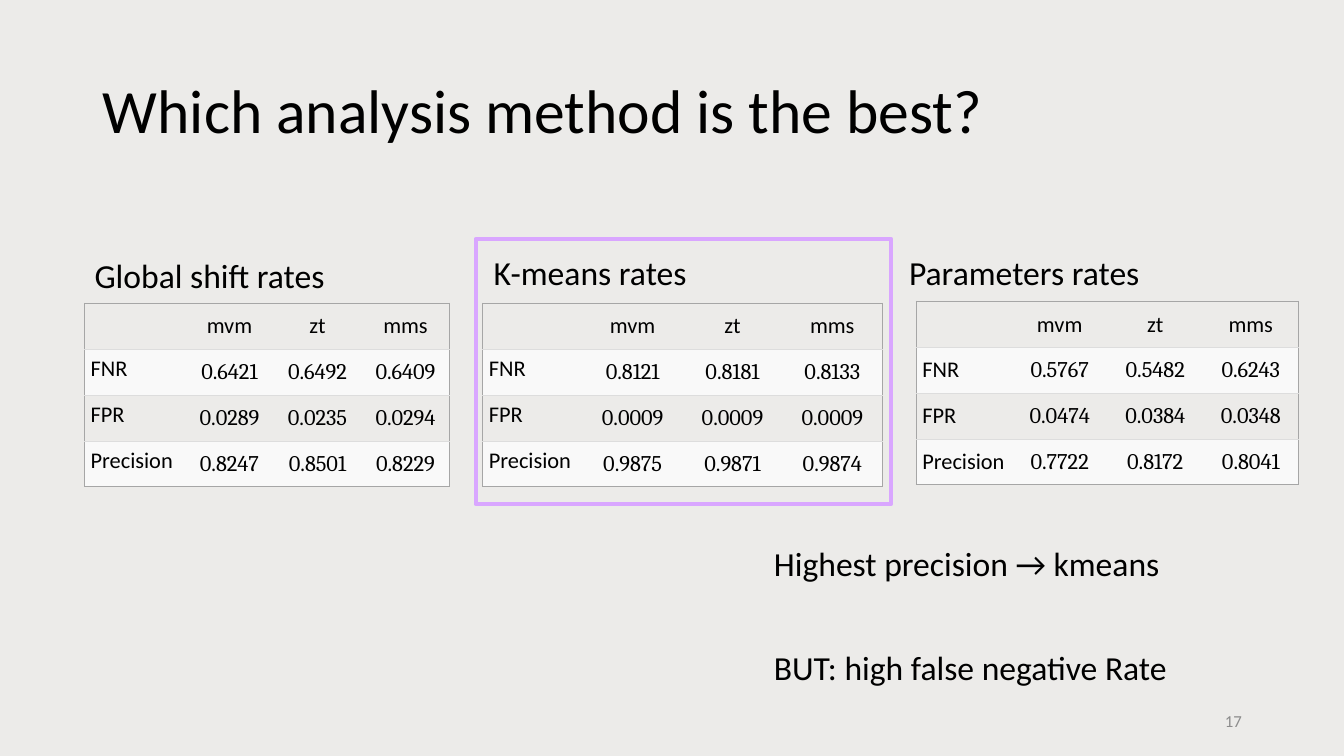
from lxml import etree
from pptx import Presentation, util as u
from pptx.dml.color import RGBColor
from pptx.enum import shapes, text
from pptx.oxml import ns

SLIDE_WIDTH, SLIDE_HEIGHT = u.Inches(13.33), u.Inches(7.5)
BLACK, GREY, BAND = "000000", "8C8C8C", "F9F9F9"
OUTER, INNER = ("A6A6A6", 1), ("DDDDDD", 0.5)
TABLE_HEIGHT = 24.27
METHODS = ["mvm", "zt", "mms"]
CENTER, RIGHT = text.PP_ALIGN.CENTER, text.PP_ALIGN.RIGHT
TOP, MIDDLE = text.MSO_ANCHOR.TOP, text.MSO_ANCHOR.MIDDLE

GLOBAL_SHIFT = [
    ["FNR", "0.6421", "0.6492", "0.6409"],
    ["FPR", "0.0289", "0.0235", "0.0294"],
    ["Precision", "0.8247", "0.8501", "0.8229"],
]
K_MEANS = [
    ["FNR", "0.8121", "0.8181", "0.8133"],
    ["FPR", "0.0009", "0.0009", "0.0009"],
    ["Precision", "0.9875", "0.9871", "0.9874"],
]
PARAMETERS = [
    ["FNR", "0.5767", "0.5482", "0.6243"],
    ["FPR", "0.0474", "0.0384", "0.0348"],
    ["Precision", "0.7722", "0.8172", "0.8041"],
]


def across(percent):
    return u.Emu(round(SLIDE_WIDTH * percent / 100))


def down(percent):
    return u.Emu(round(SLIDE_HEIGHT * percent / 100))


def box(left, top, width, height):
    """Turn percentages of the slide into a left, top, width, height."""
    return across(left), down(top), across(width), down(height)


def color(hex_string):
    return RGBColor.from_string(hex_string)


def write(frame, words, size, align=None, font="Calibri", ink=BLACK):
    frame.text = words
    paragraph = frame.paragraphs[0]
    paragraph.alignment = align
    for run in paragraph.runs:
        run.font.size = u.Pt(size)
        run.font.name = font
        run.font.color.rgb = color(ink)


def add_title(slide, words):
    title = slide.shapes.title
    title.left, title.top, title.width, title.height = box(6.9, 5.33, 86.25, 19.33)
    write(title.text_frame, words, 44, text.PP_ALIGN.LEFT)
    title.text_frame.vertical_anchor = MIDDLE
    title.text_frame.paragraphs[0].line_spacing = 0.9


def add_label(slide, words, area, size=24, align=None, ink=BLACK, anchor=TOP):
    frame = slide.shapes.add_textbox(*box(*area)).text_frame
    frame.word_wrap = True
    frame.vertical_anchor = anchor
    write(frame, words, size, align, ink=ink)


def set_border(cell, side, line):
    """Draw one side (L, R, T or B) of a cell; None leaves it bare."""
    properties = cell._tc.get_or_add_tcPr()
    border = etree.SubElement(properties, ns.qn(f"a:ln{side}"))
    if line is None:
        etree.SubElement(border, ns.qn("a:noFill"))
        return
    ink, width = line
    border.set("w", str(u.Pt(width)))
    fill = etree.SubElement(border, ns.qn("a:solidFill"))
    etree.SubElement(fill, ns.qn("a:srgbClr")).set("val", ink)


def format_cell(cell, row, column, last_row, last_column, label_anchor):
    set_border(cell, "L", OUTER if column == 0 else None)
    set_border(cell, "R", OUTER if column == last_column else None)
    set_border(cell, "T", OUTER if row == 0 else INNER)
    set_border(cell, "B", OUTER if row == last_row else INNER)
    if row % 2:
        cell.fill.solid()
        cell.fill.fore_color.rgb = color(BAND)
    else:
        cell.fill.background()
    is_value = row > 0 and column > 0
    cell.margin_left = cell.margin_right = u.Inches(0.07 if is_value else 0.06)
    cell.margin_top = cell.margin_bottom = u.Inches(0 if is_value else 0.06)
    cell.vertical_anchor = label_anchor if column == 0 else MIDDLE


def add_rate_table(slide, rates, left, top, label_width, value_width, label_anchor=TOP):
    rows = [["", *METHODS], *rates]
    widths = [label_width] + [value_width] * len(METHODS)
    area = box(left, top, sum(widths), TABLE_HEIGHT)
    table = slide.shapes.add_table(len(rows), len(widths), *area).table
    table.first_row = table.horz_banding = False
    for column, width in zip(table.columns, widths):
        column.width = across(width)
    for r, row in enumerate(rows):
        table.rows[r].height = down(TABLE_HEIGHT / len(rows))
        for c, words in enumerate(row):
            cell = table.cell(r, c)
            format_cell(cell, r, c, len(rows) - 1, len(widths) - 1, label_anchor)
            if words:
                write(cell.text_frame, words, 16, CENTER if c else None,
                      "Cambria" if r and c else "Calibri")


def add_highlight(slide, area):
    frame = slide.shapes.add_shape(shapes.MSO_SHAPE.RECTANGLE, *box(*area))
    frame.shadow.inherit = False
    frame.fill.background()
    frame.line.color.rgb = color("D9A6FF")
    frame.line.width = u.Pt(3)


def main():
    presentation = Presentation()
    presentation.slide_width, presentation.slide_height = SLIDE_WIDTH, SLIDE_HEIGHT
    slide = presentation.slides.add_slide(presentation.slide_layouts[5])
    slide.background.fill.solid()
    slide.background.fill.fore_color.rgb = color("ECEBE9")

    add_title(slide, "Which analysis method is the best?")
    add_rate_table(slide, PARAMETERS, 68.18, 39.87, 7.11, 7.11, MIDDLE)
    add_rate_table(slide, K_MEANS, 35.93, 40.13, 7.43, 7.43)
    add_rate_table(slide, GLOBAL_SHIFT, 6.3, 40.13, 7.5, 6.55)
    for words, left, top in [
        ("Global shift rates", 6.3, 33.07),
        ("K-means rates", 36, 32.67),
        ("Parameters rates", 66.9, 32.67),
    ]:
        add_label(slide, words, (left, top, 29.7, 6.67))
    add_highlight(slide, (35.4, 31.6, 30.9, 35.07))
    for words, top in [
        ("Highest precision → kmeans", 71.2),
        ("BUT: high false negative Rate", 84.93),
    ]:
        add_label(slide, words, (56.85, top, 32.1, 6.67))
    add_label(slide, "17", (70.65, 92.67, 22.5, 5.33), 12, RIGHT, GREY, MIDDLE)

    presentation.save("out.pptx")


if __name__ == "__main__":
    main()
